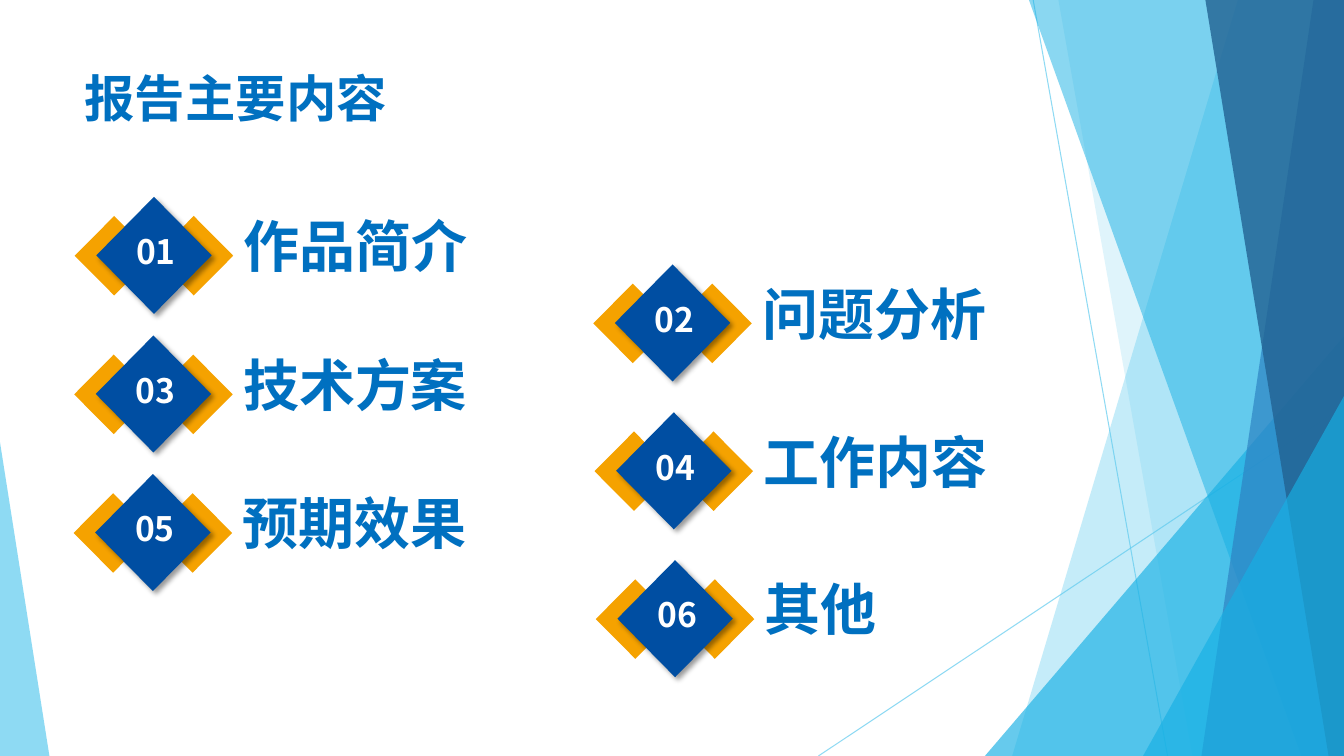
"""Build a contents slide with six numbered diamond badges and a faceted border."""
import lxml.etree
import pptx
import pptx.dml.color
import pptx.enum.shapes
import pptx.enum.text
import pptx.oxml.ns
import pptx.util

Pt = pptx.util.Pt
RGBColor = pptx.dml.color.RGBColor
SHAPE = pptx.enum.shapes.MSO_SHAPE
ALIGN = pptx.enum.text.PP_ALIGN
qn = pptx.oxml.ns.qn

WIDTH, HEIGHT = 960, 540
FONT = "Noto Sans CJK SC"
SKY = RGBColor(0x5F, 0xCB, 0xEF)
CYAN = RGBColor(0x17, 0xB0, 0xE4)
BLUE = RGBColor(0x2E, 0x83, 0xC3)
NAVY = RGBColor(0x22, 0x62, 0x92)
ORANGE = RGBColor(0xF5, 0xA2, 0x00)
ROYAL = RGBColor(0x00, 0x4E, 0xA2)
TEXT_BLUE = RGBColor(0x00, 0x70, 0xC0)
WHITE = RGBColor(0xFF, 0xFF, 0xFF)
BLACK = RGBColor(0x00, 0x00, 0x00)

COLUMNS = [
    (110, 182.4, -0.4, 99, [("01", "作品简介"), ("03", "技术方案"), ("05", "预期效果")]),
    (480.4, 230.7, 0.9, 105.6, [("02", "问题分析"), ("04", "工作内容"), ("06", "其他")]),
]


def set_opacity(shape, percent):
    for color in shape._element.iter(qn("a:srgbClr")):
        lxml.etree.SubElement(color, qn("a:alpha"), val=str(percent * 1000))


def paint(shape, color, opacity=100):
    shape.shadow.inherit = False
    shape.fill.solid()
    shape.fill.fore_color.rgb = color
    shape.line.fill.background()
    if opacity < 100:
        set_opacity(shape, opacity)


def add_thin_line(page, start, end):
    line = page.shapes.add_connector(
        pptx.enum.shapes.MSO_CONNECTOR.STRAIGHT, *map(Pt, start + end))
    line.line.color.rgb = SKY
    line.line.width = Pt(0.75)
    set_opacity(line, 70)
    lxml.etree.SubElement(line._element.spPr, qn("a:effectLst"))


def add_facet(page, top, bottom, color, opacity):
    builder = page.shapes.build_freeform(Pt(top), 0)
    corners = [(WIDTH, 0), (WIDTH, HEIGHT), (bottom, HEIGHT)]
    builder.add_line_segments([(Pt(x), Pt(y)) for x, y in corners])
    paint(builder.convert_to_shape(), color, opacity)


def add_corner(page, left, top, width, apex, color, opacity):
    corner = page.shapes.add_shape(
        SHAPE.ISOSCELES_TRIANGLE, Pt(left), Pt(top), Pt(width), Pt(HEIGHT - top))
    corner.adjustments[0] = apex
    paint(corner, color, opacity)


def add_border(page):
    add_thin_line(page, (738, 0), (834, HEIGHT))
    add_thin_line(page, (WIDTH, 290), (584.6, HEIGHT))
    add_facet(page, 884.2, 723, SKY, 36)
    add_facet(page, 756, 851.8, SKY, 20)
    add_corner(page, 703.5, 240, 256.5, 1, CYAN, 66)
    add_facet(page, 735, 929.5, CYAN, 50)
    add_facet(page, 938.2, 858.2, BLUE, 70)
    add_facet(page, 861, 949, NAVY, 80)
    add_corner(page, 816.5, 283, 143.5, 1, CYAN, 66)
    add_corner(page, 0, 316, 35.3, 0, SKY, 70)


def add_text(shapes, place, text, size, color, align=ALIGN.LEFT, wrap=True):
    box = shapes.add_textbox(*map(Pt, place))
    frame = box.text_frame
    frame.word_wrap = wrap
    frame.margin_top = frame.margin_bottom = 0
    para = frame.paragraphs[0]
    para.text = text
    para.alignment = align
    font = para.font
    font.name, font.size, font.bold = FONT, Pt(size), True
    font.color.rgb = color
    latin = font._element.find(qn("a:latin"))
    latin.addnext(latin.makeelement(qn("a:ea"), {"typeface": FONT}))


def add_diamond(shapes, x, y, width, height, color):
    diamond = shapes.add_shape(
        SHAPE.DIAMOND, Pt(x - width / 2), Pt(y - height / 2), Pt(width), Pt(height))
    paint(diamond, color)
    return diamond


def add_soft_shadow(shape):
    effects = shape._element.spPr.find(qn("a:effectLst"))
    shadow = lxml.etree.SubElement(
        effects, qn("a:outerShdw"), blurRad=str(Pt(4)), dist=str(Pt(3)),
        dir="2700000", algn="tl", rotWithShape="0")
    color = lxml.etree.SubElement(shadow, qn("a:srgbClr"), val=str(BLACK))
    lxml.etree.SubElement(color, qn("a:alpha"), val="40000")


def add_item(page, x, y, number, label):
    badge = page.shapes.add_group_shape().shapes
    for side in (-1, 1):
        add_diamond(badge, x + side * 28.4, y + 0.3, 56.4, 56.8, ORANGE)
    add_soft_shadow(add_diamond(badge, x, y, 82.4, 83.6, ROYAL))
    add_text(badge, (x - 28.8, y - 17.4, 60.5, 23.8), number, 24, WHITE, ALIGN.CENTER)
    width = 40 * len(label) + 16
    add_text(page.shapes, (x + 57, y - 31.2, width, 55.4), label, 40, TEXT_BLUE, wrap=False)


def main():
    deck = pptx.Presentation()
    deck.slide_width, deck.slide_height = Pt(WIDTH), Pt(HEIGHT)
    page = deck.slides.add_slide(deck.slide_layouts[6])
    add_border(page)
    add_text(page.shapes, (53.3, 48.2, 676.8, 69.8), "报告主要内容", 36, TEXT_BLUE)
    for left, top, drift, step, items in COLUMNS:
        for row, (number, label) in enumerate(items):
            add_item(page, left + row * drift, top + row * step, number, label)
    deck.save("out.pptx")


if __name__ == "__main__":
    main()
